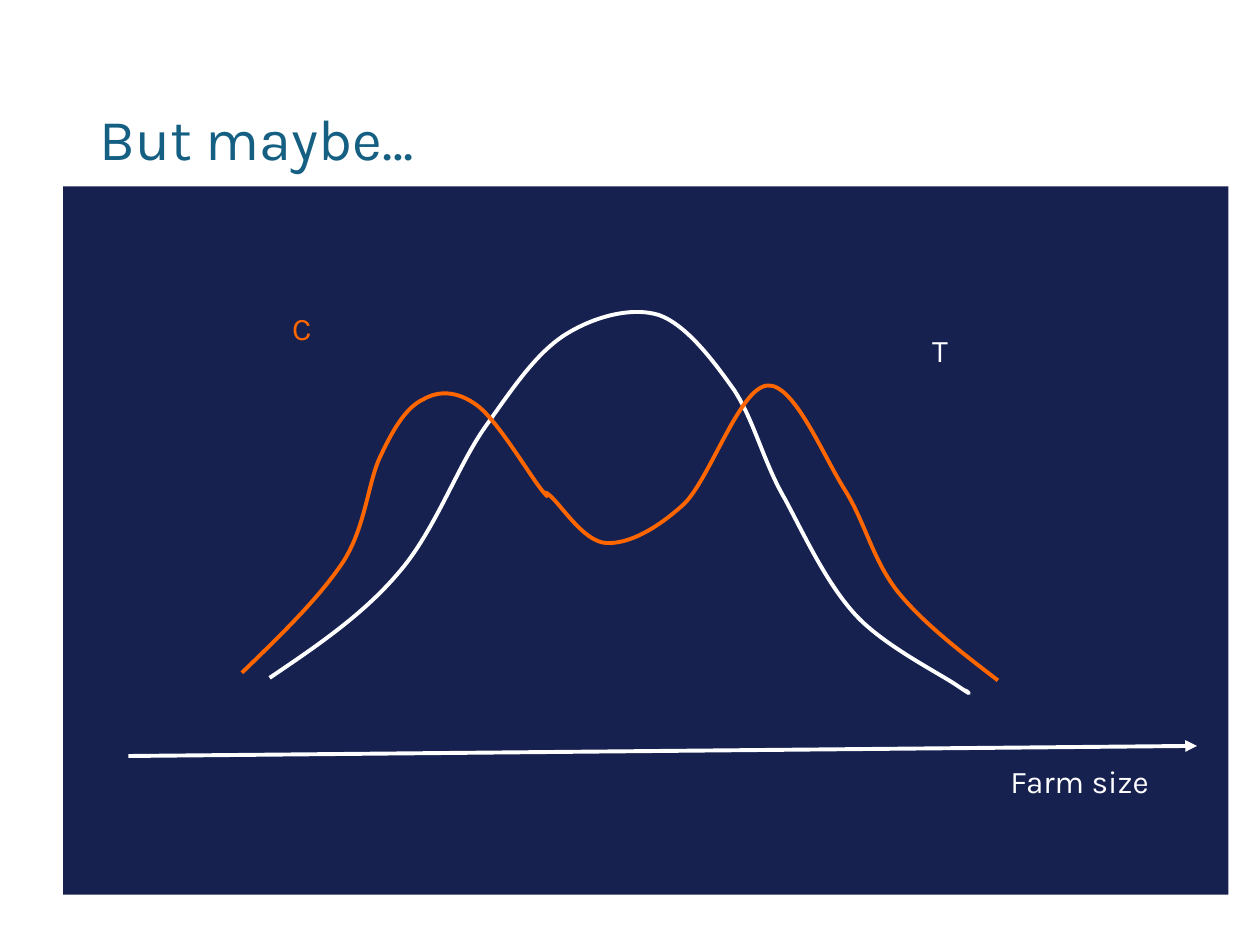
"""Build a slide comparing two farm size distributions."""
from lxml.etree import SubElement
from pptx import Presentation
from pptx.dml.color import RGBColor
from pptx.enum.shapes import MSO_CONNECTOR as Conn, MSO_SHAPE as Shp
from pptx.enum.text import MSO_ANCHOR as Anchor, MSO_AUTO_SIZE as Fit, PP_ALIGN as Align
from pptx.oxml.ns import qn
from pptx.util import Inches, Pt

THEME = {"font": "Karla", "title_size": 33, "label_size": 18, "line": 2.25,
         "panel": "162150", "title": "156082", "treatment": "FFFFFF",
         "control": "FF6600", "axis": "FFFFFF"}

TITLE = "But maybe…"
TITLE_BOX = (0.69, 0.4, 8.62, 1.45)
PANEL_BOX = (0.5, 1.48, 9.25, 5.62)
AXIS = (1.02, 6, 9.5, 5.92)
LABELS = [
    ("Farm size", (7.92, 6, 1.58, 0.5), "axis"),
    ("C", (2.22, 2.4, 1, 0.5), "control"),
    ("T", (7.3, 2.58, 1, 0.5), "treatment"),
]
TREATMENT = [
    (2.14, 5.38), (2.51, 5.13), (2.88, 4.88), (3.16, 4.55),
    (3.45, 4.22), (3.63, 3.7), (3.85, 3.39),
    (4.07, 3.08), (4.25, 2.81), (4.48, 2.66),
    (4.7, 2.52), (5, 2.43), (5.23, 2.5),
    (5.45, 2.58), (5.66, 2.86), (5.83, 3.1),
    (5.99, 3.35), (6.06, 3.67), (6.23, 3.96),
    (6.39, 4.26), (6.56, 4.63), (6.79, 4.88),
    (7.02, 5.13), (7.47, 5.35), (7.61, 5.45),
    (7.76, 5.55), (7.65, 5.47), (7.66, 5.48),
    (7.67, 5.48), (7.67, 5.49), (7.68, 5.49),
]
CONTROL = [
    (1.92, 5.34), (2.23, 5.04), (2.54, 4.74), (2.73, 4.45),
    (2.91, 4.16), (2.92, 3.81), (3.03, 3.6),
    (3.13, 3.39), (3.23, 3.23), (3.36, 3.17),
    (3.48, 3.1), (3.63, 3.1), (3.79, 3.22),
    (3.95, 3.34), (4.21, 3.78), (4.3, 3.89),
    (4.4, 4.01), (4.28, 3.86), (4.36, 3.93),
    (4.45, 4), (4.63, 4.3), (4.81, 4.31),
    (4.99, 4.32), (5.21, 4.2), (5.43, 4),
    (5.64, 3.79), (5.87, 3.08), (6.09, 3.06),
    (6.3, 3.04), (6.53, 3.61), (6.7, 3.88),
    (6.87, 4.15), (6.92, 4.43), (7.12, 4.69),
    (7.32, 4.94), (7.62, 5.17), (7.92, 5.4),
]


def color(name):
    return RGBColor.from_string(THEME[name])


def inches(values):
    return [Inches(v) for v in values]


def write(tf, text, *, size, fill, spacing=None):
    p = tf.paragraphs[0]
    p.alignment = Align.LEFT
    p.line_spacing = spacing
    r = p.add_run()
    r.text = text
    r.font.name = THEME["font"]
    r.font.size = Pt(THEME[size])
    r.font.color.rgb = color(fill)


def stroke(line, name):
    line.color.rgb = color(name)
    line.width = Pt(THEME["line"])


def add_curve(shapes, points, name):
    points = [inches(point) for point in points]
    start, *ends = points[::3]
    builder = shapes.build_freeform(*start)
    builder.add_line_segments(ends, close=False)
    sp = builder.convert_to_shape()
    segments = list(sp._element.iter(qn("a:lnTo")))
    for segment, first, second in zip(segments, points[1::3], points[2::3]):
        segment.tag = qn("a:cubicBezTo")
        end = segment[0]
        for x, y in (first, second):
            pt = SubElement(segment, qn("a:pt"), x=str(x - sp.left), y=str(y - sp.top))
            end.addprevious(pt)
    sp.shadow.inherit = False
    sp.fill.background()
    stroke(sp.line, name)


def add_axis(shapes):
    axis = shapes.add_connector(Conn.STRAIGHT, *inches(AXIS))
    stroke(axis.line, "axis")
    SubElement(axis.line._get_or_add_ln(), qn("a:tailEnd"), type="triangle")
    SubElement(axis._element.spPr, qn("a:effectLst"))


def add_panel(shapes):
    panel = shapes.add_shape(Shp.RECTANGLE, *inches(PANEL_BOX))
    panel.shadow.inherit = False
    panel.fill.solid()
    panel.fill.fore_color.rgb = color("panel")
    panel.line.fill.background()
    shapes.title._element.addprevious(panel._element)


def add_title(title):
    title.left, title.top, title.width, title.height = inches(TITLE_BOX)
    title.text_frame.vertical_anchor = Anchor.MIDDLE
    write(title.text_frame, TITLE, size="title_size", fill="title", spacing=0.9)


def add_label(shapes, text, box, name):
    tf = shapes.add_textbox(*inches(box)).text_frame
    tf.word_wrap = True
    tf.auto_size = Fit.SHAPE_TO_FIT_TEXT
    write(tf, text, size="label_size", fill=name)


def main():
    prs = Presentation()
    prs.slide_width, prs.slide_height = Inches(10), Inches(7.5)
    shapes = prs.slides.add_slide(prs.slide_layouts[5]).shapes
    add_title(shapes.title)
    add_panel(shapes)
    add_curve(shapes, TREATMENT, "treatment")
    add_axis(shapes)
    for label in LABELS:
        add_label(shapes, *label)
    add_curve(shapes, CONTROL, "control")
    prs.save("out.pptx")


if __name__ == "__main__":
    main()
